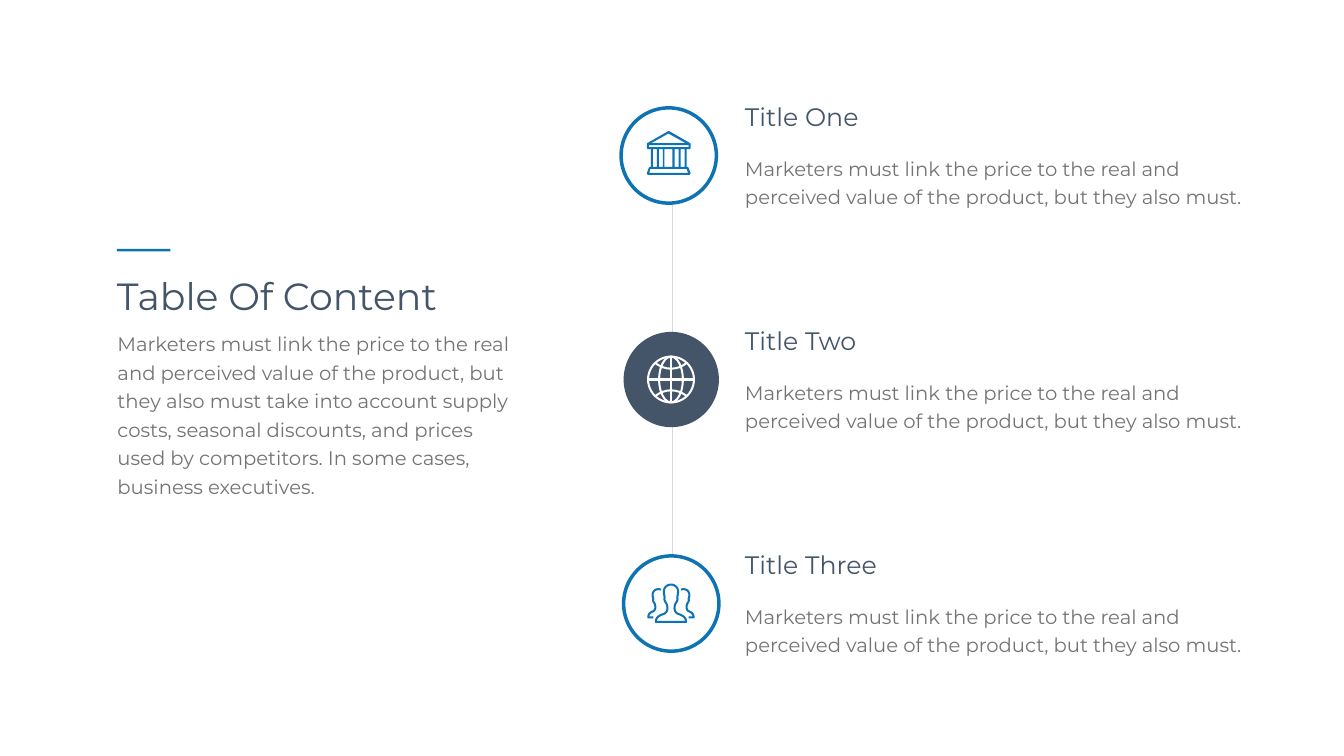
from lxml.etree import SubElement
from pptx import Presentation
from pptx.dml.color import RGBColor
from pptx.enum.shapes import MSO_CONNECTOR, MSO_SHAPE
from pptx.enum.text import MSO_ANCHOR, MSO_AUTO_SIZE, PP_ALIGN
from pptx.oxml.ns import qn
from pptx.util import Inches, Pt

BLUE = RGBColor(0x0D, 0x73, 0xB2)
NAVY = RGBColor(0x44, 0x54, 0x69)
GREY = RGBColor(0x73, 0x75, 0x72)
RULE = RGBColor(0xD9, 0xD9, 0xD9)
WHITE = RGBColor(0xFF, 0xFF, 0xFF)

HEADING = {"size": Pt(54), "color": NAVY}
SUBHEADING = {"size": Pt(36), "color": NAVY}
BODY = {"size": Pt(28), "color": GREY, "line_spacing": Pt(40.8)}

INTRO = (
    "Marketers must link the price to the real and perceived value of the product, "
    "but they also must take into account supply costs, seasonal discounts, and "
    "prices used by competitors. In some cases, business executives."
)
SUMMARY = (
    "Marketers must link the price to the real and perceived value of the product, "
    "but they also must."
)
PITCH = 8.89 / 2
ICON_STROKE = 2.9


def bezier(start, curves, steps=8):
    points = [start]
    for b, c, d in curves:
        a = points[-1]
        for i in range(1, steps + 1):
            t = i / steps
            weights = ((1 - t) ** 3, 3 * t * (1 - t) ** 2, 3 * t * t * (1 - t), t ** 3)
            points.append(tuple(
                sum(w * q[axis] for w, q in zip(weights, (a, b, c, d))) for axis in (0, 1)
            ))
    return points


def mirror(points, axis_x):
    return [(2 * axis_x - x, y) for x, y in points]


def box(left, top, right, bottom):
    return [(left, top), (right, top), (right, bottom), (left, bottom)]


class SlideBuilder:
    font_name = "Montserrat"

    def __init__(self, slide):
        self.slide = slide
        self.shapes = slide.shapes

    def paint(self, sp, fill=None, line=None, width=ICON_STROKE):
        sp.shadow.inherit = False
        for color, target in ((fill, sp.fill), (line, sp.line.fill)):
            if color is None:
                target.background()
            else:
                target.solid()
                target.fore_color.rgb = color
        if line is not None:
            sp.line.width = Pt(width)
        return sp

    def shape(self, kind, x, y, w, h, **style):
        sp = self.shapes.add_shape(kind, Inches(x), Inches(y), Inches(w), Inches(h))
        return self.paint(sp, **style)

    def outline(self, *contours, close=False, **style):
        builder = None
        for points in contours:
            start, *rest = [(Inches(x), Inches(y)) for x, y in points]
            if builder is None:
                builder = self.shapes.build_freeform(*start)
            else:
                builder.move_to(*start)
            builder.add_line_segments(rest, close=close)
        return self.paint(builder.convert_to_shape(), **style)

    def line(self, x1, y1, x2, y2, color, width=ICON_STROKE):
        s = self.shapes.add_connector(
            MSO_CONNECTOR.STRAIGHT, Inches(x1), Inches(y1), Inches(x2), Inches(y2))
        s.line.color.rgb = color
        s.line.width = Pt(width)
        SubElement(s._element.spPr, qn("a:effectLst"))

    def fill_text(self, sp, text, style, wrap=True, insets=(0.1, 0.05)):
        tf = sp.text_frame
        side, top = map(Inches, insets)
        frame_format = {
            "word_wrap": wrap, "auto_size": MSO_AUTO_SIZE.NONE,
            "vertical_anchor": MSO_ANCHOR.TOP, "margin_left": side,
            "margin_right": side, "margin_top": top, "margin_bottom": top,
        }
        for name, value in frame_format.items():
            setattr(tf, name, value)
        p = tf.paragraphs[0]
        paragraph_format = {
            "alignment": PP_ALIGN.LEFT, "space_before": Pt(0),
            "line_spacing": style.get("line_spacing"),
        }
        for name, value in paragraph_format.items():
            setattr(p, name, value)
        r = p.add_run()
        r.text = text
        for name, value in {"name": self.font_name, "size": style["size"]}.items():
            setattr(r.font, name, value)
        r.font.color.rgb = style["color"]

    def text(self, x, y, w, h, text, style):
        sp = self.shapes.add_textbox(Inches(x), Inches(y), Inches(w), Inches(h))
        self.fill_text(sp, text, style)

    def placeholder(self, index, x, y, w, h, text, style, **frame):
        sp = self.slide.placeholders[index]
        for name, value in {"left": x, "top": y, "width": w, "height": h}.items():
            setattr(sp, name, Inches(value))
        if index:
            pPr = sp.text_frame.paragraphs[0]._p.get_or_add_pPr()
            pPr.set("marL", "0")
            pPr.set("indent", "0")
            SubElement(pPr, qn("a:buNone"))
        self.fill_text(sp, text, style, **frame)

    def bank_icon(self):
        right_half = [
            (13.27, 2.6), (13.69, 2.84), (13.7, 2.86), (13.7, 2.94), (13.68, 2.96),
            (13.62, 2.96), (13.62, 3.31), (13.64, 3.31), (13.66, 3.33),
            (13.7, 3.44), (13.68, 3.47),
        ]
        silhouette = right_half + mirror(right_half, 13.265)[::-1]
        pediment = [(13.26, 2.65), (13.6, 2.84), (12.92, 2.84)]
        beam = box(12.87, 2.88, 13.66, 2.92)
        base = [(12.9, 3.35), (13.62, 3.35), (13.65, 3.43), (12.88, 3.43)]
        spans = ((12.95, 13.03), (13.07, 13.15), (13.18, 13.34),
                 (13.38, 13.46), (13.5, 13.58))
        gaps = [box(left, 2.96, right, 3.31) for left, right in spans]
        self.outline(silhouette, pediment, beam, base, *gaps, close=True, fill=BLUE)

    def globe_icon(self):
        cx, cy, radius = 13.31, 7.53, 0.455
        for half_width in (radius, 0.235):
            self.shape(MSO_SHAPE.OVAL, cx - half_width, cy - radius,
                       2 * half_width, 2 * radius, line=WHITE)
        self.line(cx - radius, cy, cx + radius, cy, WHITE)
        self.line(cx, cy - radius, cx, cy + radius, WHITE)
        for side in (-1, 1):
            outer, inner = cy + side * 0.32, cy + side * 0.18
            arc = bezier((cx - 0.3, outer),
                         [((cx - 0.12, inner), (cx + 0.12, inner), (cx + 0.3, outer))])
            self.outline(arc, line=WHITE)

    def people_icon(self):
        cx = 13.31
        half = bezier((cx, 11.6), [
            ((13.39, 11.6), (13.46, 11.66), (13.45, 11.75)),
            ((13.45, 11.82), (13.43, 11.82), (13.44, 11.88)),
            ((13.44, 11.96), (13.38, 11.95), (13.38, 12.07)),
            ((13.38, 12.14), (13.43, 12.18), (13.48, 12.19)),
            ((13.55, 12.22), (13.61, 12.25), (13.61, 12.34)),
        ])
        self.outline(half + mirror(half, cx)[:0:-1], close=True, line=BLUE)
        neighbour = bezier((13.51, 11.7), [
            ((13.55, 11.68), (13.61, 11.69), (13.64, 11.72)),
            ((13.67, 11.75), (13.69, 11.8), (13.66, 11.88)),
            ((13.68, 11.96), (13.62, 11.94), (13.62, 12.05)),
            ((13.62, 12.11), (13.66, 12.13), (13.69, 12.14)),
            ((13.73, 12.16), (13.76, 12.19), (13.76, 12.25)),
        ]) + [(13.66, 12.25)]
        self.outline(neighbour, mirror(neighbour, cx), line=BLUE)


def main():
    prs = Presentation()
    prs.slide_width, prs.slide_height = Inches(26.66), Inches(15)
    s = SlideBuilder(prs.slides.add_slide(prs.slide_layouts[1]))

    s.line(13.33, 2.96, 13.33, 12.02, RULE, 0.5)
    s.placeholder(0, 2.22, 5.36, 6.66, 1.01, "Table Of Content", HEADING, wrap=False)
    s.placeholder(1, 2.09, 6.37, 8.25, 3.69, INTRO, BODY, insets=(0.24, 0.12))
    s.shape(MSO_SHAPE.RECTANGLE, 2.32, 4.94, 1.06, 0.05, fill=BLUE)

    ring = {"fill": WHITE, "line": BLUE, "width": 5}
    entries = (
        ("Title One", 12.32, ring, s.bank_icon),
        ("Title Two", 12.37, {"fill": NAVY}, s.globe_icon),
        ("Title Three", 12.37, ring, s.people_icon),
    )
    for i, (title, left, badge, draw_icon) in enumerate(entries):
        y = i * PITCH
        s.shape(MSO_SHAPE.OVAL, left, 2.14 + y, 1.89, 1.89, **badge)
        draw_icon()
        s.text(14.68, 1.96 + y, 9.94, 0.71, title, SUBHEADING)
        s.text(14.68, 2.96 + y, 10.16, 1.25, SUMMARY, BODY)

    prs.save("out.pptx")


if __name__ == "__main__":
    main()
